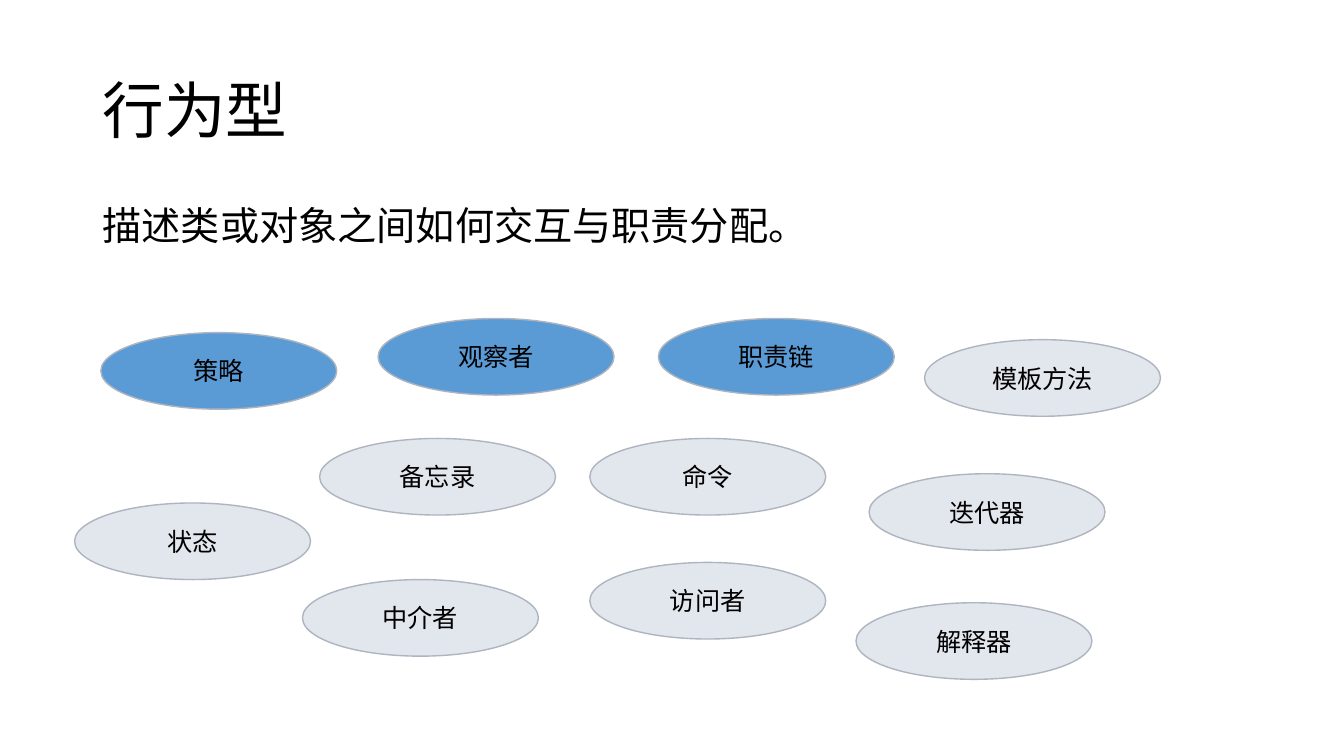
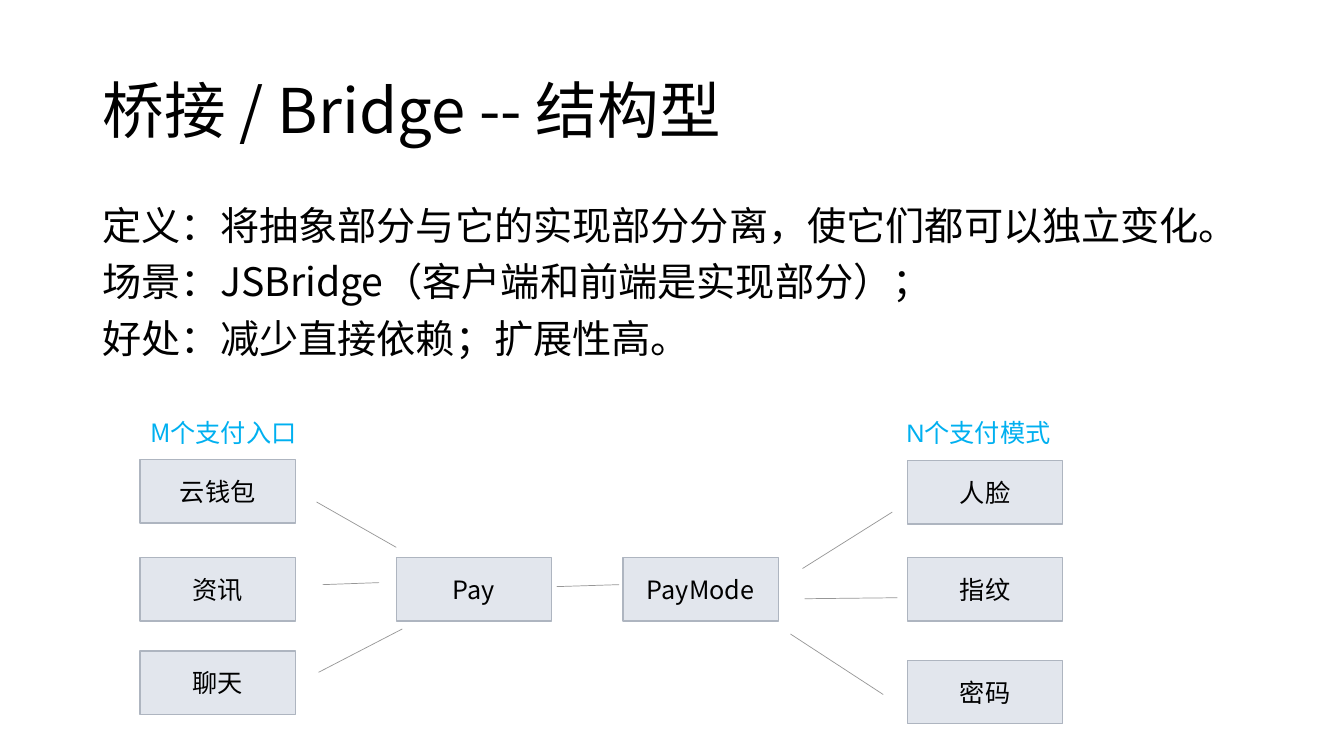
import pptx
import pptx.dml.color
import pptx.enum.shapes
import pptx.enum.text
import pptx.oxml
import pptx.oxml.ns
import pptx.util

Inches = pptx.util.Inches
Pt = pptx.util.Pt
SHAPES = pptx.enum.shapes.MSO_SHAPE
ALIGN = pptx.enum.text.PP_ALIGN
ANCHOR = pptx.enum.text.MSO_ANCHOR

FONT = "Noto Sans CJK SC"
BLACK = "000000"
PALE = "E2E6ED"
BLUE = "5B9BD5"
BORDER = "AEB5C0"
LINK = "979797"
CAPTION = "00B0F0"
TITLE_BOX = (0.92, 0.4, 11.5, 1.45)
BODY_BOX = (0.92, 2, 11.5, 4.76)


def color(value):
    return pptx.dml.color.RGBColor.from_string(value)


def add_xml_child(parent, tag):
    child = pptx.oxml.parse_xml(f"<{tag} {pptx.oxml.ns.nsdecls('a')}/>")
    parent.append(child)
    return child


def write_text(shape, lines, size=18, fill=BLACK, latin=FONT, align=ALIGN.LEFT,
               anchor=ANCHOR.TOP, line_spacing=None, space_before=0):
    frame = shape.text_frame
    frame.word_wrap = True
    frame.vertical_anchor = anchor
    frame.text = "\n".join(lines)
    for paragraph in frame.paragraphs:
        paragraph.alignment = align
        paragraph.line_spacing = line_spacing
        paragraph.space_before = Pt(space_before)
        for run in paragraph.runs:
            run.font.size = Pt(size)
            run.font.color.rgb = color(fill)
            run.font.name = latin
            add_xml_child(run.font._element, "a:ea").set("typeface", FONT)


def add_text(slide, box, lines, **text_format):
    shape = slide.shapes.add_textbox(*map(Inches, box))
    write_text(shape, lines, **text_format)


def add_node(slide, kind, box, label, fill=PALE):
    shape = slide.shapes.add_shape(kind, *map(Inches, box))
    shape.shadow.inherit = False
    shape.fill.solid()
    shape.fill.fore_color.rgb = color(fill)
    shape.line.color.rgb = color(BORDER)
    shape.line.width = Pt(1)
    write_text(shape, [label], align=ALIGN.CENTER, anchor=ANCHOR.MIDDLE)


def add_link(slide, *ends):
    connector = slide.shapes.add_connector(
        pptx.enum.shapes.MSO_CONNECTOR.STRAIGHT, *map(Inches, ends))
    connector.line.color.rgb = color(LINK)
    connector.line.width = Pt(0.5)
    add_xml_child(connector._element.spPr, "a:effectLst")


def add_content_slide(presentation, title, body):
    slide = presentation.slides.add_slide(presentation.slide_layouts[6])
    add_text(slide, TITLE_BOX, [title], size=44, anchor=ANCHOR.MIDDLE, line_spacing=0.9)
    add_text(slide, BODY_BOX, body, size=28, line_spacing=0.9, space_before=10)
    return slide


def add_pattern_cloud(slide, left, top):
    width, height = 2.34, 0.76
    patterns = [
        ("策略", 0.26, 0.14, BLUE),
        ("观察者", 3.01, 0, BLUE),
        ("职责链", 5.79, 0, BLUE),
        ("模板方法", 8.43, 0.21, PALE),
        ("备忘录", 2.43, 1.19, PALE),
        ("命令", 5.11, 1.19, PALE),
        ("迭代器", 7.88, 1.54, PALE),
        ("状态", 0, 1.83, PALE),
        ("中介者", 2.26, 2.59, PALE),
        ("访问者", 5.11, 2.42, PALE),
        ("解释器", 7.75, 2.82, PALE),
    ]
    for label, x, y, fill in patterns:
        add_node(slide, SHAPES.OVAL, (left + x, top + y, width, height), label, fill)


def add_bridge_diagram(slide, left, top):
    width, height = 1.54, 0.63
    middle = 1.44
    columns = [
        (0, [("云钱包", 0.47), ("资讯", middle), ("聊天", 2.37)]),
        (2.54, [("Pay", middle)]),
        (4.79, [("PayMode", middle)]),
        (7.61, [("人脸", 0.48), ("指纹", middle), ("密码", 2.46)]),
    ]
    for x, nodes in columns:
        for label, y in nodes:
            add_node(slide, SHAPES.RECTANGLE, (left + x, top + y, width, height), label)

    links = [
        (1.75, 0.89, 2.54, 1.34),
        (2.37, 1.69, 1.81, 1.71),
        (1.77, 2.58, 2.6, 2.15),
        (4.13, 1.73, 4.75, 1.71),
        (6.57, 1.55, 7.46, 0.99),
        (6.59, 1.85, 7.51, 1.84),
        (6.45, 2.2, 7.37, 2.8),
    ]
    for x1, y1, x2, y2 in links:
        add_link(slide, left + x1, top + y1, left + x2, top + y2)

    for x, caption, latin in [(0, "M个支付入口", FONT), (7.5, "N个支付模式", "Arial")]:
        add_text(slide, (left + x, top, 3.39, 0.4), [caption], fill=CAPTION, latin=latin)


def main():
    presentation = pptx.Presentation()
    presentation.slide_width = Inches(13.33)
    presentation.slide_height = Inches(7.5)

    behavioral = add_content_slide(
        presentation, "行为型", ["描述类或对象之间如何交互与职责分配。"])
    add_pattern_cloud(behavioral, 0.74, 3.16)

    bridge = add_content_slide(presentation, "桥接 / Bridge -- 结构型", [
        "定义：将抽象部分与它的实现部分分离，使它们都可以独立变化。",
        "场景：JSBridge（客户端和前端是实现部分）；",
        "好处：减少直接依赖；扩展性高。",
    ])
    add_bridge_diagram(bridge, 1.39, 4.09)

    presentation.save("out.pptx")


if __name__ == "__main__":
    main()
